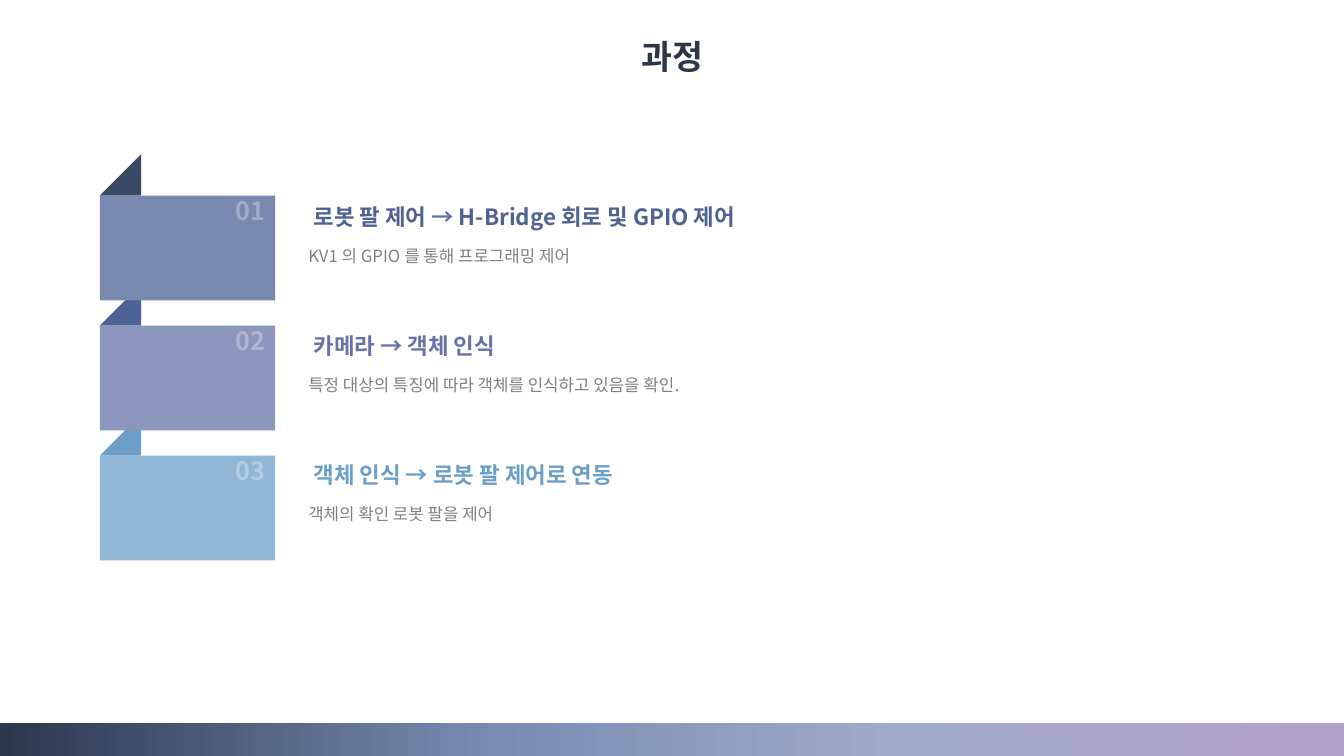
from dataclasses import dataclass

from lxml import etree
from pptx import Presentation
from pptx.dml.color import RGBColor
from pptx.enum.shapes import MSO_SHAPE
from pptx.enum.text import MSO_ANCHOR, PP_ALIGN
from pptx.oxml.ns import qn
from pptx.util import Inches, Pt

RECT, TRIANGLE = MSO_SHAPE.RECTANGLE, MSO_SHAPE.RIGHT_TRIANGLE
LEFT, CENTER, RIGHT = PP_ALIGN.LEFT, PP_ALIGN.CENTER, PP_ALIGN.RIGHT
TOP = MSO_ANCHOR.TOP


@dataclass(frozen=True)
class Theme:
    font: str = "Noto Sans CJK KR"
    title: str = "2C374C"
    body: str = "808080"
    number: str = "FFFFFF"
    number_alpha: int = 30
    bar: tuple = ((0, "2C374C"), (37, "798DB3"), (68, "A3ABCA"), (100, "B3A2C7"))
    title_size: int = 24
    number_size: int = 18
    heading_size: int = 16
    body_size: int = 12


THEME = Theme()

# Each step: fold colour, panel colour, heading runs, description
STEPS = [
    ("3A4966", "7A89AF",
     [("로봇 팔 제어 ", "4E6294"), ("→", "6573A7"), (" H-Bridge 회로 및 GPIO 제어", "4E6294")],
     "KV1 의 GPIO 를 통해 프로그래밍 제어"),
    ("4E6294", "8C96BD", [("카메라 → 객체 인식", "6573A7")],
     "특정 대상의 특징에 따라 객체를 인식하고 있음을 확인."),
    ("6B9FC7", "90B7D5", [("객체 인식 → 로봇 팔 제어로 연동", "6B9FC7")],
     "객체의 확인 로봇 팔을 제어"),
]


def write(sp, runs, size, bold=False, align=LEFT, left=0.1, top=0.05, spacing=1.0):
    """Fill a shape with one paragraph of (text, colour) runs."""
    tf = sp.text_frame
    frame = dict(word_wrap=True, vertical_anchor=TOP, margin_left=Inches(left),
                 margin_right=Inches(0.1), margin_top=Inches(top), margin_bottom=Inches(0.05))
    for name, value in frame.items():
        setattr(tf, name, value)
    p = tf.paragraphs[0]
    p.alignment, p.line_spacing = align, spacing
    for text, color in runs:
        r = p.add_run()
        r.text = text
        for name, value in dict(name=THEME.font, size=Pt(size), bold=bold).items():
            setattr(r.font, name, value)
        r.font.color.rgb = RGBColor.from_string(color)
        ea = etree.Element(qn("a:ea"), typeface=THEME.font)
        r.font._element.find(qn("a:latin")).addnext(ea)
    return p


def add_block(slide, kind, x, y, w, h, color=None):
    sp = slide.shapes.add_shape(kind, Inches(x), Inches(y), Inches(w), Inches(h))
    sp.shadow.inherit = False
    sp.line.fill.background()
    if color:
        sp.fill.solid()
        sp.fill.fore_color.rgb = RGBColor.from_string(color)
    return sp


def add_text(slide, x, y, w, h, runs, size, **style):
    write(slide.shapes.add_textbox(Inches(x), Inches(y), Inches(w), Inches(h)),
          runs, size, **style)


def add_footer_bar(slide, x, y, w, h):
    sp = add_block(slide, RECT, x, y, w, h)
    sp.fill.gradient()
    sp.fill.gradient_angle = 0
    stops = sp._element.spPr.find(qn("a:gradFill")).find(qn("a:gsLst"))
    for stop in list(stops):
        stops.remove(stop)
    for pos, color in THEME.bar:
        stop = etree.SubElement(stops, qn("a:gs"), pos=str(pos * 1000))
        etree.SubElement(stop, qn("a:srgbClr"), val=color)


def add_title(slide, x, y, w, h, text):
    sp = slide.shapes.title
    sp.left, sp.top, sp.width, sp.height = map(Inches, (x, y, w, h))
    write(sp, [(text, THEME.title)], THEME.title_size, bold=True, align=CENTER)


def add_ribbon(slide, x, y, w, pitch=1.29, fold=0.41, panel_h=1.04):
    """Draw the folds first, so that each panel covers the fold below it."""
    for i, (color, *_) in enumerate(STEPS):
        sp = add_block(slide, TRIANGLE, x, y + i * pitch, fold, fold, color)
        sp._element.spPr.find(qn("a:xfrm")).set("flipH", "1")
    for i, (_, color, *_) in enumerate(STEPS):
        sp = add_block(slide, RECT, x, y + fold + i * pitch, w, panel_h, color)
        p = write(sp, [(f"{i + 1:02}", THEME.number)], THEME.number_size,
                  bold=True, align=RIGHT, top=0)
        white = p.runs[0].font._element.find(".//" + qn("a:srgbClr"))
        etree.SubElement(white, qn("a:alpha"), val=str(THEME.number_alpha * 1000))


def add_descriptions(slide, x, y, w, pitch=1.28):
    for i, (_, _, heading, body) in enumerate(STEPS):
        top = y + i * pitch
        add_text(slide, x, top, 5.34, 0.37, heading, THEME.heading_size, bold=True, left=0.15)
        add_text(slide, x, top + 0.38, w, 0.34, [(body, THEME.body)], THEME.body_size,
                 spacing=1.2)


def main():
    prs = Presentation()
    prs.slide_width, prs.slide_height = Inches(13.33), Inches(7.5)
    slide = prs.slides.add_slide(prs.slide_layouts[5])
    add_footer_bar(slide, 0, 7.17, 13.33, 0.33)
    add_title(slide, 2.72, 0.31, 7.9, 0.5, "과정")
    add_ribbon(slide, 0.99, 1.53, 1.74)
    add_descriptions(slide, 2.96, 1.97, 9.4)
    prs.save("out.pptx")


if __name__ == "__main__":
    main()
